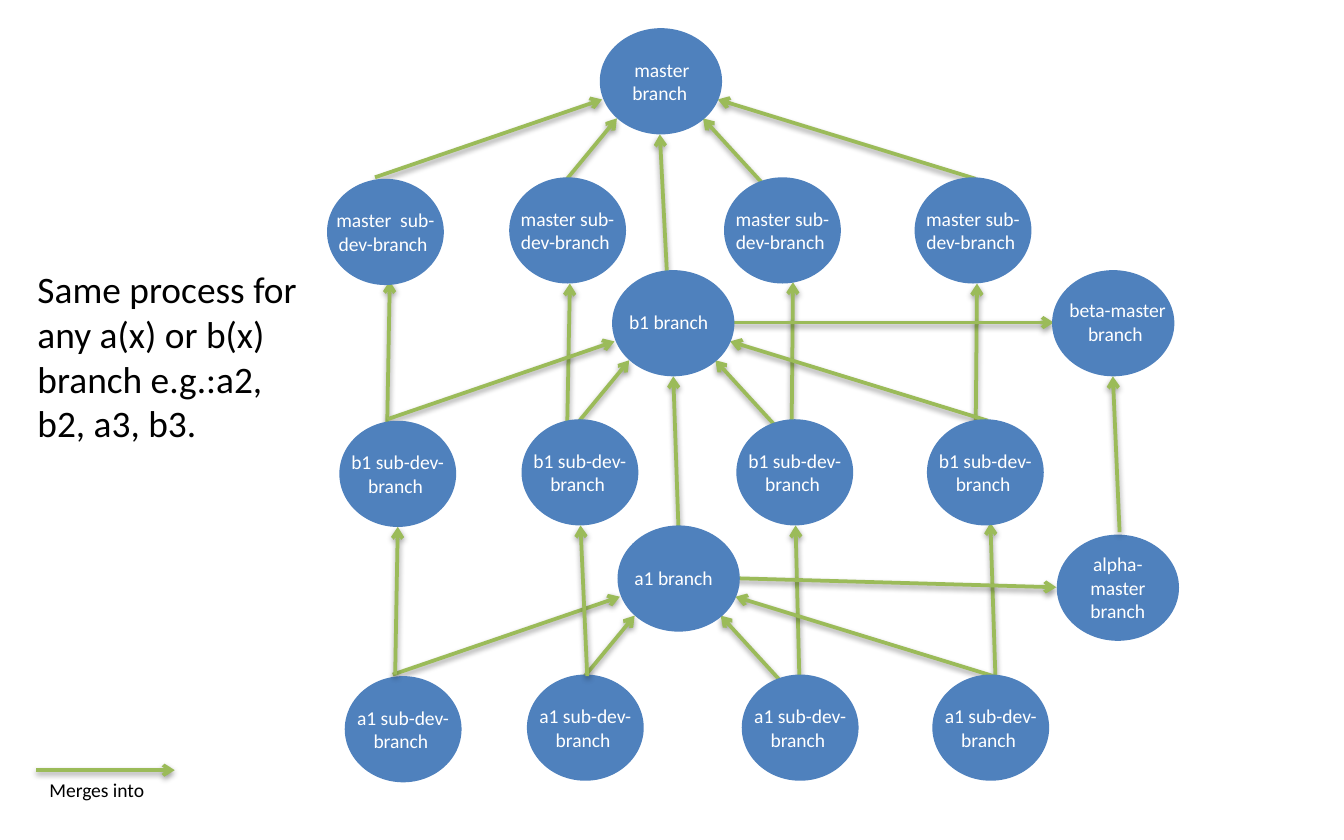
from lxml import etree
from pptx import Presentation
from pptx.dml.color import RGBColor
from pptx.enum.shapes import MSO_CONNECTOR, MSO_SHAPE
from pptx.enum.text import PP_ALIGN
from pptx.oxml.ns import qn
from pptx.util import Pt

OVAL = MSO_SHAPE.OVAL
LINE = MSO_CONNECTOR.STRAIGHT
LEFT, MID = PP_ALIGN.LEFT, PP_ALIGN.CENTER
FONT = "Calibri"
HEX = {"node": "4F81BD", "arrow": "9BBB59", "light": "FFFFFF", "dark": "000000"}

# Node sizes and the x positions of the sub-branches on the master level
HUB, SUB = (65.5, 56.9), (62.6, 56.9)
HUB_X, HUB_Y, SUB_Y = 321.3, 15.1, 95
SUB_X = (175.2, 272.8, 387.9, 490)

# Every level repeats the master level, shifted by (dx, dy)
LEVELS = {"master": (0, 0), "b1": (6.6, 129.6), "a1": (9.5, 266.4)}

# Arrows as x1, y1, x2, y2
FAN = [(200.9, 95, 322.6, 53.3), (303.8, 95.8, 330.5, 63.4),
       (408.2, 97.9, 376.6, 63.4), (522.7, 95.8, 384.5, 53.3)]
BACK = [
    # Hub to hub
    (363.6, 287.3, 360.7, 201.6), (357.8, 156.2, 353.5, 72),
    # b1 subs to master subs
    (207.4, 229.7, 208.8, 150.5), (303.8, 231.8, 305.3, 151.9),
    (424.1, 230.4, 424.8, 151.2), (522.7, 231.1, 523.4, 151.9),
    # a1 subs to b1 subs
    (533.5, 369.4, 530.6, 280.1), (428.4, 370.1, 426.2, 281.5),
    # Hubs to alpha and beta
    (388.1, 172.8, 564.5, 172.8), (388.1, 309.6, 565.9, 314.6),
]
FRONT = [(599.8, 285.1, 596.2, 201.6), (211.7, 361.4, 213.1, 282.2),
         (314.6, 362.2, 311, 281.5)]
KEY = (19.4, 412.6, 93.6, 412.6)


def color(name):
    return RGBColor.from_string(HEX[name])


def add_text(shapes, text, box, size=10.5, ink="light", align=MID):
    frame = shapes.add_textbox(*map(Pt, box)).text_frame
    frame.word_wrap = True
    frame.text = text
    para = frame.paragraphs[0]
    para.alignment = align
    font = para.runs[0].font
    font.name, font.size = FONT, Pt(size)
    font.color.rgb = color(ink)


def add_node(shapes, text, spot, size, label, align=MID):
    """Ellipse with a label; label is dx, dy, width, height from the ellipse."""
    group = shapes.add_group_shape().shapes
    oval = group.add_shape(OVAL, *map(Pt, spot + size))
    oval.shadow.inherit = False
    oval.fill.solid()
    oval.fill.fore_color.rgb = color("node")
    oval.line.fill.background()
    x, y = spot
    dx, dy, wide, high = label
    add_text(group, text, (x + dx, y + dy, wide, high), align=align)


def add_arrow(shapes, ends):
    arrow = shapes.add_connector(LINE, *map(Pt, ends))
    arrow.line.width = Pt(2)
    arrow.line.color.rgb = color("arrow")
    props = arrow._element.spPr
    etree.SubElement(props.find(qn("a:ln")), qn("a:tailEnd"), type="arrow")
    # Soft shadow straight below the line
    effects = etree.SubElement(props, qn("a:effectLst"))
    shade = etree.SubElement(
        effects, qn("a:outerShdw"), blurRad=str(Pt(3.15)), dist=str(Pt(1.6)),
        dir="5400000", rotWithShape="0")
    tint = etree.SubElement(shade, qn("a:srgbClr"), val=HEX["dark"])
    etree.SubElement(tint, qn("a:alpha"), val="38000")


def add_fan(shapes, shift):
    dx, dy = shift
    for x1, y1, x2, y2 in FAN:
        add_arrow(shapes, (x1 + dx, y1 + dy, x2 + dx, y2 + dy))


def add_level(shapes, name, shift):
    dx, dy = shift
    spot = (HUB_X + dx, HUB_Y + dy)
    if name == "master":
        add_node(shapes, "master branch ", spot, HUB, (-0.9, 12.2, 68.4, 32.4))
    else:
        add_node(shapes, f"{name} branch", spot, HUB, (2, 18, 68.4, 20), LEFT)
    for i, x in enumerate(SUB_X):
        # The first sub-branch sits slightly lower
        drop = 0 if i else 0.8
        gap = "  " if name == "master" and i == 0 else " "
        add_node(shapes, f"{name}{gap}sub-dev-branch ",
                 (x + dx, SUB_Y + dy + drop), SUB, (-3.3, 12.2, 69.1, 32.4))


def main():
    deck = Presentation()
    deck.slide_width, deck.slide_height = Pt(720), Pt(450)
    shapes = deck.slides.add_slide(deck.slide_layouts[6]).shapes

    # Arrows behind the nodes
    for ends in BACK:
        add_arrow(shapes, ends)
    for shift in LEVELS.values():
        add_fan(shapes, shift)

    # Nodes
    for name, shift in LEVELS.items():
        add_level(shapes, name, shift)
    add_node(shapes, "alpha-master branch", (566.1, 286.4), HUB,
             (4.3, 5.8, 56.9, 45.4))
    add_node(shapes, "beta-master branch ", (563.6, 144.7), HUB,
             (0.9, 11.5, 68.4, 32.4))

    # Arrows in front of the nodes
    for ends in FRONT:
        add_arrow(shapes, ends)

    # Key and side note
    add_arrow(shapes, KEY)
    add_text(shapes, "Merges into", (19.4, 413.3, 73.4, 20), 10.5, "dark", LEFT)
    add_text(shapes, "Same process for any a(x) or b(x) branch e.g.:a2, b2, a3, b3.",
             (13, 139, 158.4, 104.4), 20, "dark", LEFT)
    deck.save("out.pptx")


if __name__ == "__main__":
    main()
